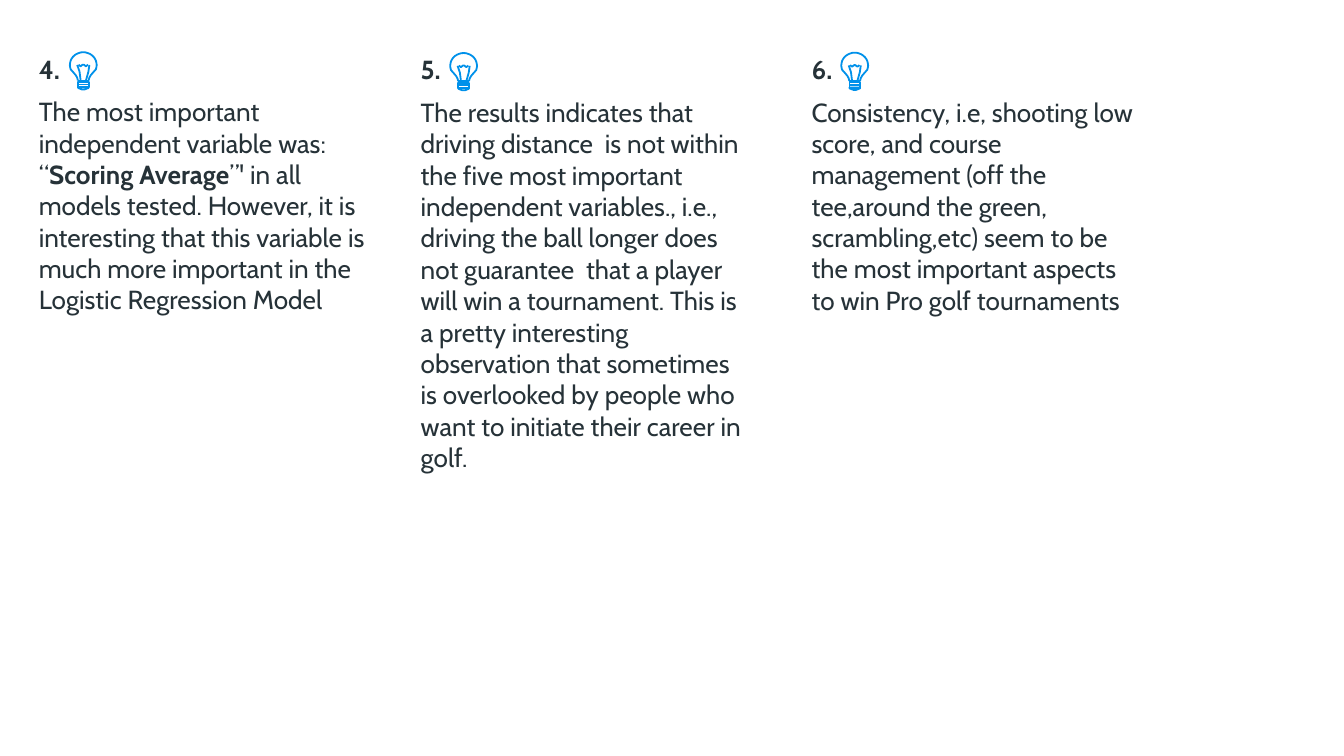
"""Build a slide of three numbered findings, each marked with a light bulb."""
from math import cos, radians, sin

from lxml import etree
from pptx import Presentation
from pptx import util as u
from pptx.dml.color import RGBColor
from pptx.enum import text
from pptx.oxml.ns import qn

INK = RGBColor(0x26, 0x32, 0x38)
BLUE = RGBColor(0x00, 0x91, 0xEA)
FONT = {"name": "Cabin", "size": u.Pt(14)}
FRAME = {
    "word_wrap": True,
    "auto_size": text.MSO_AUTO_SIZE.NONE,
    "vertical_anchor": text.MSO_ANCHOR.TOP,
    **{f"margin_{side}": u.Inches(0.1) for side in ("left", "right", "top", "bottom")},
}
PARAGRAPH = {
    "space_before": u.Pt(6),
    "space_after": u.Pt(0),
    "line_spacing": 1.0,
    "alignment": text.PP_ALIGN.LEFT,
}
WIDTH = u.Inches(10)
HEIGHT = u.Emu(WIDTH * 9 // 16)
COLUMNS, ROWS = 100, 56.25
MIL = u.Inches(1) / 1000

GLASS = [(140, 210), (145, 190), (155, 172), (172, 152)]
DOME = [(100 + 100 * cos(radians(a)), 95 - 95 * sin(radians(a))) for a in range(-20, 201, 10)]
MIRRORED_GLASS = [(200 - x, y) for x, y in reversed(GLASS)]
BULB = [
    ([(60, 220), (140, 220), (140, 240), (60, 240)], True),
    ([(60, 240), (140, 240), (140, 260), (60, 260)], True),
    ([(60, 260), (62, 266), (90, 277), (110, 277), (138, 266), (140, 260)], True),
    ([(80, 210), (72, 145), (55, 95)], False),
    (GLASS + DOME + MIRRORED_GLASS, False),
    ([(145, 95), (138, 145), (120, 210)], False),
    ([(65, 93), (80, 105), (95, 93), (105, 93), (120, 105), (135, 93)], False),
    ([(60, 210), (140, 210)], False),
]

FINDINGS = [
    (30.3, 3, 33.5, "5.", [
        ("The results indicates that driving distance  is not within the five most important "
         "independent variables., i.e.,  driving the ball longer does not guarantee  that a "
         "player will win a tournament. This is a pretty interesting observation that sometimes "
         "is overlooked by people who want to initiate their career in golf.", False)]),
    (59.4, 2.97, 62.6, "6.", [
        ("Consistency, i.e, shooting low score, and course management (off the tee,around the "
         "green, scrambling,etc) seem to be the most important aspects to win Pro golf "
         "tournaments", False)]),
    (1.9, 2.94, 5.2, "4.", [
        ("The most important independent variable was: “", False),
        ("Scoring Average", True),
        ("”' in all models tested. However, it is interesting that this variable is much more "
         "important in the Logistic Regression Model", False)]),
]


def apply(target, values):
    """Set each named attribute on the target."""
    for name, value in values.items():
        setattr(target, name, value)


class Deck:
    """Hold the style and the current slide."""

    def __init__(self, prs):
        """Start a slide with a free body placeholder."""
        self.column = prs.slide_width / COLUMNS
        self.row = prs.slide_height / ROWS
        self.s = prs.slides.add_slide(prs.slide_layouts[1])
        title = self.s.shapes.title
        title.element.getparent().remove(title.element)
        self.body = self.s.placeholders[1]

    def box(self, column, row, width, height):
        """Turn grid units into a position and size."""
        return {
            "left": u.Emu(round(column * self.column)),
            "top": u.Emu(round(row * self.row)),
            "width": u.Emu(round(width * self.column)),
            "height": u.Emu(round(height * self.row)),
        }

    def finding(self, column, row, number, runs):
        """Write a number and its statement, in the body placeholder first."""
        place = self.box(column, row, 26.5, 12.8)
        sp = self.body or self.s.shapes.add_textbox(**place)
        self.body = None
        apply(sp, place)
        tf = sp.text_frame
        apply(tf, FRAME)
        self.paragraph(tf.paragraphs[0], [(number, True)])
        self.paragraph(tf.add_paragraph(), runs)

    def paragraph(self, p, runs):
        """Fill an unbulleted paragraph with plain and bold runs."""
        apply(p, PARAGRAPH)
        pPr = p._p.get_or_add_pPr()
        pPr.set("marL", "0")
        pPr.set("indent", "0")
        etree.SubElement(pPr, qn("a:buNone"))
        for words, bold in runs:
            r = p.add_run()
            r.text = words
            apply(r.font, {**FONT, "bold": bold})
            r.font.color.rgb = INK

    def bulb(self, column, row):
        """Draw a grouped outline of a light bulb."""
        place = self.box(column, row, 0, 0)
        group = self.s.shapes.add_group_shape()
        for points, closed in BULB:
            outline = group.shapes.build_freeform(*points[0], scale=MIL)
            outline.add_line_segments(points[1:], close=closed)
            sp = outline.convert_to_shape(place["left"], place["top"])
            sp.shadow.inherit = False
            sp.fill.background()
            sp.line.color.rgb = BLUE
            sp.line.width = u.Pt(0.96)


def main():
    """Build and save the slide."""
    prs = Presentation()
    apply(prs, {"slide_width": WIDTH, "slide_height": HEIGHT})
    deck = Deck(prs)
    for column, row, _, number, runs in FINDINGS:
        deck.finding(column, row, number, runs)
    for _, row, column, _, _ in FINDINGS:
        deck.bulb(column, row + 0.95)
    prs.save("out.pptx")


if __name__ == "__main__":
    main()
